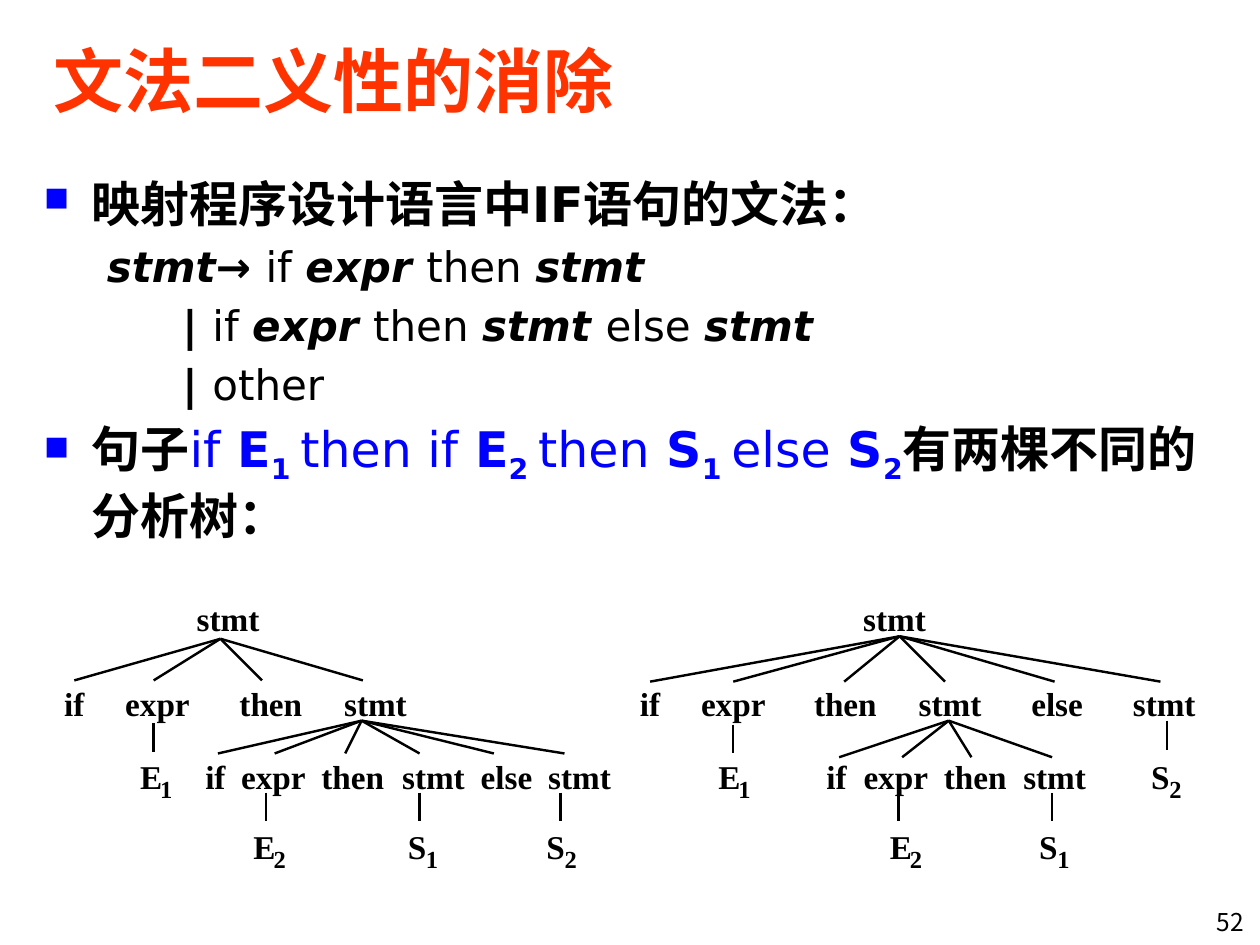
"""Build a slide on removing grammar ambiguity, with two parse trees."""
import pptx
import pptx.util
import pptx.dml.color
import pptx.enum.shapes
import pptx.enum.text
import pptx.oxml.ns
from lxml import etree

THEME = {
    "title": "FF3300", "accent": "0000FF", "ink": "000000",
    "sans": "DejaVu Sans", "cjk": "Noto Sans CJK SC", "serif": "Times New Roman",
    "title_size": 40, "body_size": 28, "grammar_size": 24,
    "node_size": 19, "small_size": 14, "line": 1.38,
}
WIDTH, HEIGHT = 10, 7.5
TITLE = "文法二义性的消除"
PAGE_NUMBER = "52"

PLAIN, STRONG = {"bold": False}, {"bold": True}
VARIABLE = {"bold": True, "italic": True}
BLUE = {"bold": False, "color": THEME["accent"]}
BLUE_STRONG = {"bold": True, "color": THEME["accent"]}
BLUE_SUB = {**BLUE_STRONG, "baseline": -25}
BODY = [
    ("bullet", [("映射程序设计语言中IF语句的文法：", STRONG)]),
    ("rule", [("stmt", VARIABLE), ("→ ", STRONG), ("if ", PLAIN), ("expr ", VARIABLE),
              ("then ", PLAIN), ("stmt", VARIABLE)]),
    ("choice", [("| ", STRONG), ("if ", PLAIN), ("expr ", VARIABLE), ("then ", PLAIN),
                ("stmt ", VARIABLE), ("else ", PLAIN), ("stmt", VARIABLE)]),
    ("choice", [("| ", STRONG), ("other", PLAIN)]),
    ("bullet", [("句子", STRONG), ("if", BLUE), (" E", BLUE_STRONG), ("1 ", BLUE_SUB),
                ("then if", BLUE), (" E", BLUE_STRONG), ("2 ", BLUE_SUB),
                ("then", BLUE), (" S", BLUE_STRONG), ("1 ", BLUE_SUB),
                ("else", BLUE), (" S", BLUE_STRONG), ("2", BLUE_SUB),
                ("有两棵不同的分析树：", STRONG)]),
]
LEVELS = {
    "bullet": (0.38, -0.38, THEME["body_size"]),
    "rule": (0.81, -0.31, THEME["grammar_size"]),
    "choice": (1.1, 0, THEME["grammar_size"]),
}

ROWS = [4.75, 5.42, 6, 6.56]
TREES = [
    {
        "words": [
            (0, [("stmt", 1.81)]),
            (1, [("if", 0.59), ("expr", 1.25), ("then", 2.15), ("stmt", 2.98)]),
            (2, [("if", 1.71), ("expr", 2.17), ("then", 2.8), ("stmt", 3.44),
                 ("else", 4.02), ("stmt", 4.6)]),
        ],
        "leaves": [(2, "E", "1", 1.2), (3, "E", "2", 2.1),
                   (3, "S", "1", 3.31), (3, "S", "2", 4.41)],
        "fans": [(1.75, 5.07, 5.4, [0.59, 1.22, 2.08, 2.88]),
                 (2.87, 5.72, 5.98, [1.73, 2.18, 2.74, 3.33, 3.92, 4.48])],
        "stems": [(1.22, 5.74), (2.11, 6.29), (3.33, 6.29), (4.45, 6.29)],
    },
    {
        "words": [
            (0, [("stmt", 7.1)]),
            (1, [("if", 5.16), ("expr", 5.82), ("then", 6.71), ("stmt", 7.54),
                 ("else", 8.39), ("stmt", 9.24)]),
            (2, [("if", 6.64), ("expr", 7.11), ("then", 7.74), ("stmt", 8.37)]),
        ],
        "leaves": [(2, "E", "1", 5.79), (2, "S", "2", 9.21),
                   (3, "E", "2", 7.15), (3, "S", "1", 8.32)],
        "fans": [(7.14, 5.05, 5.41, [5.16, 5.82, 6.7, 7.5, 8.37, 9.21]),
                 (7.53, 5.72, 6.01, [6.66, 7.16, 7.71, 8.35])],
        "stems": [(5.82, 5.75), (7.13, 6.29), (8.35, 6.29), (9.26, 5.72)],
    },
]
STEM = 0.23
ALIGN = pptx.enum.text.PP_ALIGN
ANCHOR = pptx.enum.text.MSO_ANCHOR


def add_element(parent, tag, **attributes):
    element = etree.SubElement(parent, pptx.oxml.ns.qn(tag))
    for name, value in attributes.items():
        element.set(name, str(value))
    return element


def add_span(para, text, *, size, font=THEME["sans"], color=THEME["ink"],
             bold=False, italic=False, baseline=0):
    span = para.add_run()
    span.text = text
    span.font.size = pptx.util.Pt(size)
    span.font.bold, span.font.italic = bold, italic
    span.font.color.rgb = pptx.dml.color.RGBColor.from_string(color)
    span.font.name = font
    properties = span.font._element
    add_element(properties, "a:ea", typeface=THEME["cjk"])
    if baseline:
        properties.set("baseline", str(baseline * 1000))


def add_box(page, left, top, width, height, *, inset=True, wrap=True, anchor=ANCHOR.TOP):
    box = page.shapes.add_textbox(*map(pptx.util.Inches, (left, top, width, height)))
    frame = box.text_frame
    frame.word_wrap, frame.vertical_anchor = wrap, anchor
    if not inset:
        frame.margin_left = frame.margin_right = frame.margin_top = frame.margin_bottom = 0
    return frame


def add_label(page, text, centre, top, size=THEME["node_size"]):
    width = 0.6
    frame = add_box(page, centre - width / 2, top, width, size / 60, inset=False, wrap=False)
    para = frame.paragraphs[0]
    para.alignment = ALIGN.CENTER
    add_span(para, text, size=size, font=THEME["serif"], bold=True)


def add_line(page, *ends):
    line = page.shapes.add_connector(
        pptx.enum.shapes.MSO_CONNECTOR.STRAIGHT, *map(pptx.util.Inches, ends))
    line.line.width = pptx.util.Pt(THEME["line"])
    line.line.color.rgb = pptx.dml.color.RGBColor.from_string(THEME["ink"])
    add_element(line._element.spPr, "a:effectLst")


def add_body(page):
    frame = add_box(page, 0.25, 1.33, 9.5, 3.13)
    for index, (level, spans) in enumerate(BODY):
        para = frame.add_paragraph() if index else frame.paragraphs[0]
        margin, indent, size = LEVELS[level]
        properties = para._p.get_or_add_pPr()
        properties.set("marL", str(pptx.util.Inches(margin)))
        properties.set("indent", str(pptx.util.Inches(indent)))
        if index:
            add_element(add_element(properties, "a:spcBef"), "a:spcPct", val=20000)
        if level == "bullet":
            add_element(add_element(properties, "a:buClr"), "a:srgbClr", val=THEME["accent"])
            add_element(properties, "a:buSzPct", val=70000)
            add_element(properties, "a:buChar", char="■")
        for text, style in spans:
            add_span(para, text, size=size, **style)


def add_tree(page, tree):
    for row, words in tree["words"]:
        for word, centre in words:
            add_label(page, word, centre, ROWS[row])
    for row, letter, digit, centre in tree["leaves"]:
        add_label(page, letter, centre, ROWS[row])
        add_label(page, digit, centre + 0.12, ROWS[row] + 0.14, THEME["small_size"])
    for apex, top, bottom, ends in tree["fans"]:
        for end in ends:
            add_line(page, apex, top, end, bottom)
    for centre, top in tree["stems"]:
        add_line(page, centre, top, centre, top + STEM)


def main():
    deck = pptx.Presentation()
    deck.slide_width, deck.slide_height = pptx.util.Inches(WIDTH), pptx.util.Inches(HEIGHT)
    page = deck.slides.add_slide(deck.slide_layouts[6])
    title = add_box(page, 0.33, 0.17, 9.42, 0.92, anchor=ANCHOR.MIDDLE)
    add_span(title.paragraphs[0], TITLE, size=THEME["title_size"], font=THEME["cjk"],
             color=THEME["title"], bold=True)
    add_body(page)
    for tree in TREES:
        add_tree(page, tree)
    number = add_box(page, 9.18, 7.15, 0.79, 0.3).paragraphs[0]
    number.alignment = ALIGN.RIGHT
    add_span(number, PAGE_NUMBER, size=THEME["small_size"], font=THEME["cjk"])
    deck.save("out.pptx")


if __name__ == "__main__":
    main()
